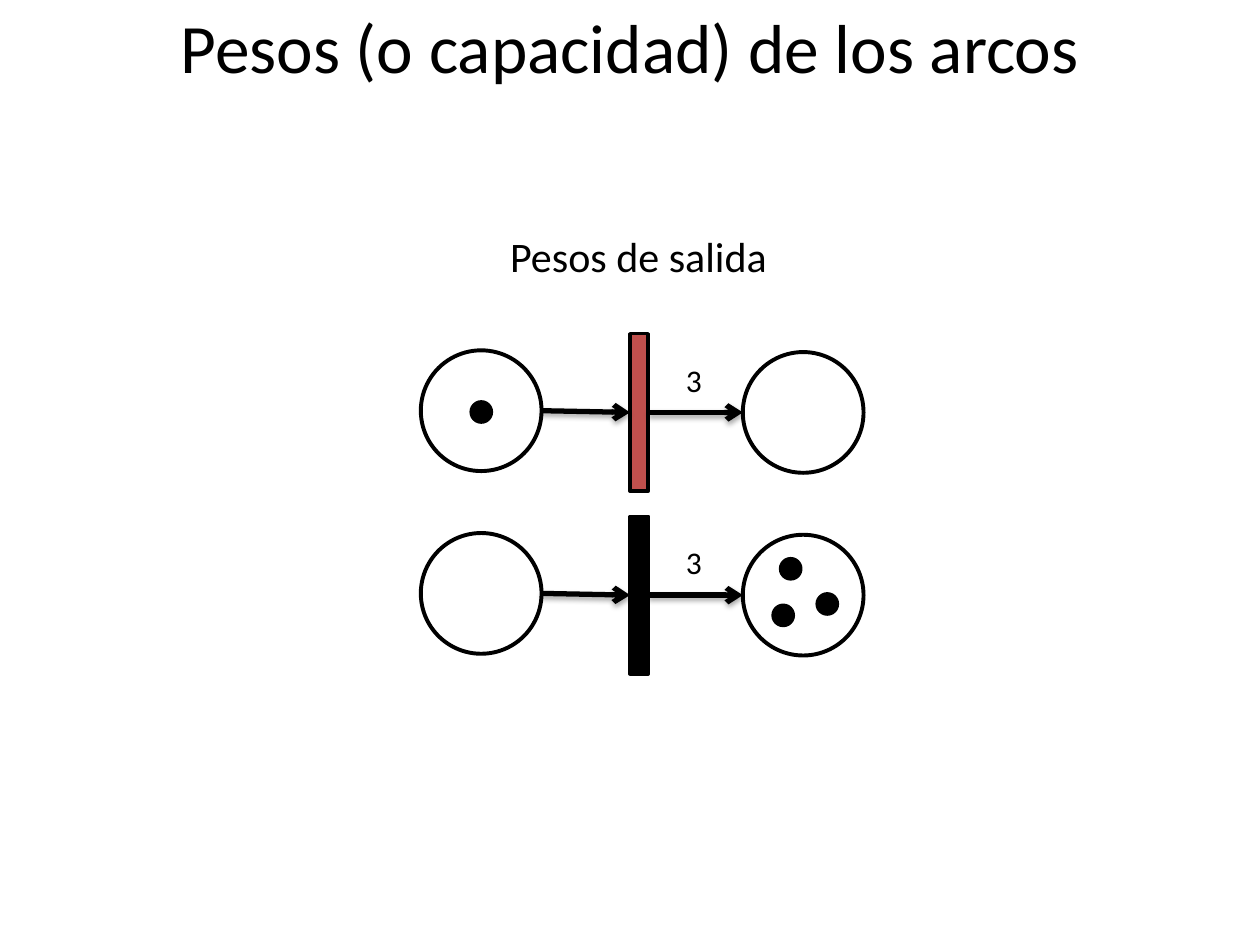
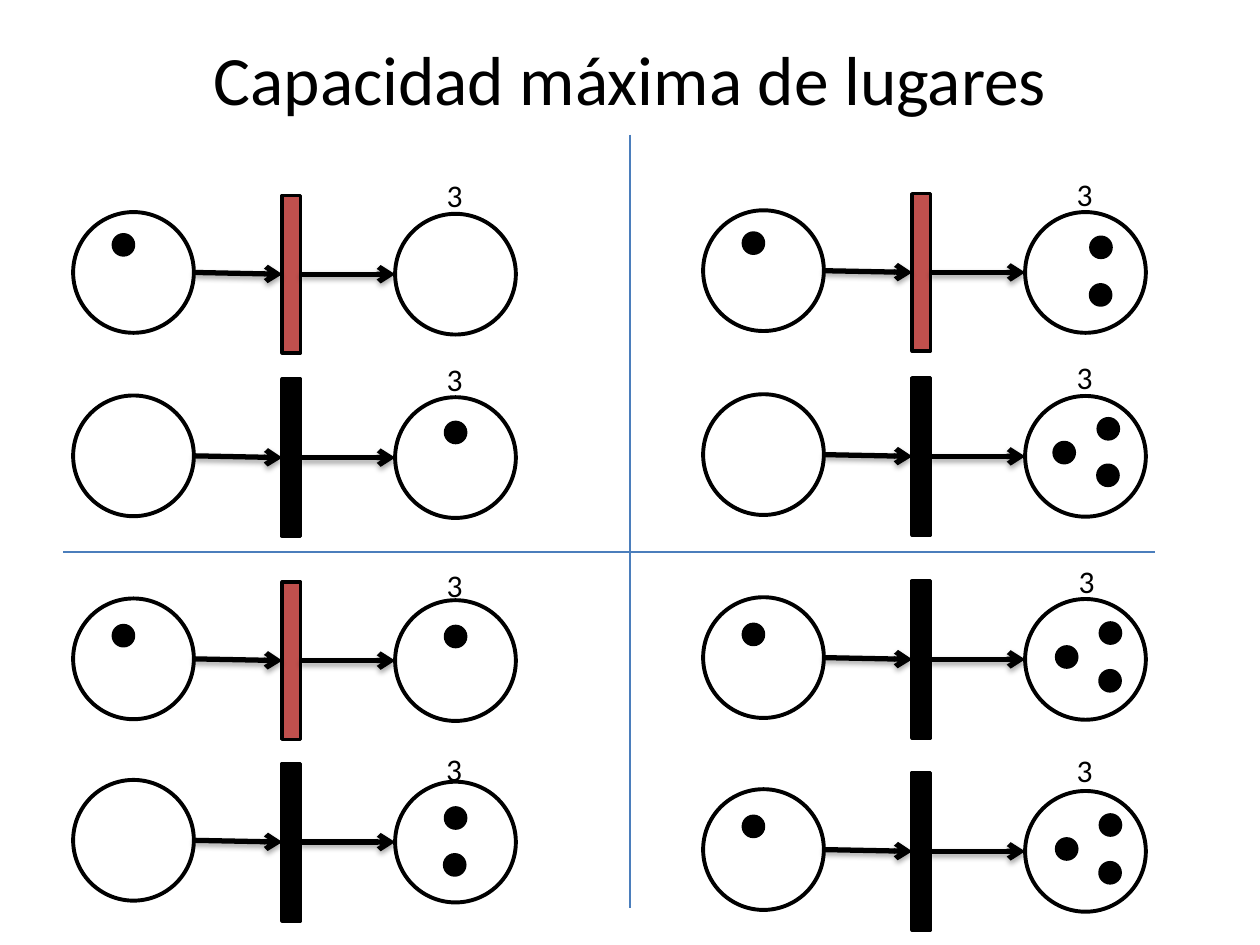
from dataclasses import dataclass
from lxml.etree import SubElement
from pptx import Presentation
from pptx.dml.color import RGBColor
from pptx.enum.shapes import MSO_CONNECTOR as Link, MSO_SHAPE as Shape
from pptx.enum.text import MSO_ANCHOR as Anchor, MSO_AUTO_SIZE as AutoSize, PP_ALIGN as Align
from pptx.oxml.ns import qn
from pptx.util import Pt

COLORS = {"ink": "000000", "paper": "FFFFFF", "enabled": "C0504D", "divider": "4B7EBC"}
FONT = "Calibri"
PLACE = 69
TOKEN = 11.5
BAR_W, BAR_H = 10.5, 90
BAR_DX = 119.5
OUT_DX, OUT_DY = 184, 1
LABEL_W, LABEL_H = 24, 29

Offset = tuple[float, float]


@dataclass
class Net:
    y: float
    bar: str
    label: Offset
    tokens_in: tuple[Offset, ...] = ()
    tokens_out: tuple[Offset, ...] = ()


ARC_LABEL = (-39.6, 1.4)
CENTER = ((28.8, 29.5),)
UPPER = ((23, 13),)
LOWER = ((23, 15.5),)
FULL = ((18, 27.4), (43, 13.7), (42.8, 41))

OUTPUT_X = 240.5
OUTPUT_NETS = (
    Net(200.2, "enabled", ARC_LABEL, CENTER),
    Net(304.6, "ink", ARC_LABEL, (), ((21.6, 13.7), (17.3, 40.3), (42.5, 33.8))),
)

CAPACITY_COLUMNS = {
    41.8: (
        Net(121.2, "enabled", (22.3, -25), UPPER),
        Net(226, "ink", (22.3, -25), (), ((28.8, 14.4),)),
        Net(342, "enabled", (22.3, -23), LOWER, ((28.8, 15),)),
        Net(445.7, "ink", (22, -21.6), (), ((28.8, 15), (28.3, 41.8))),
    ),
    401.8: (
        Net(120.2, "enabled", (22.3, -25), UPPER, ((37.6, 14.4), (37.4, 41.6))),
        Net(225.3, "ink", (22.3, -25), (), ((16.6, 26.6), (41.8, 13), (41.6, 39.6))),
        Net(341.3, "ink", (23.5, -24.5), LOWER, FULL),
        Net(451, "ink", (22.3, -26.6), LOWER, FULL),
    ),
}


def rgb(name: str) -> RGBColor:
    return RGBColor.from_string(COLORS[name])


def add_solid(s, kind, x: float, y: float, w: float, h: float, fill: str, line: float):
    sp = s.shapes.add_shape(kind, Pt(x), Pt(y), Pt(w), Pt(h))
    sp.shadow.inherit = False
    sp.fill.solid()
    sp.fill.fore_color.rgb = rgb(fill)
    sp.line.color.rgb = rgb("ink")
    sp.line.width = Pt(line)
    return sp


def add_line(s, x1: float, y1: float, x2: float, y2: float, color: str, width: float):
    cx = s.shapes.add_connector(Link.STRAIGHT, Pt(x1), Pt(y1), Pt(x2), Pt(y2))
    cx.line.color.rgb = rgb(color)
    cx.line.width = Pt(width)
    effects = SubElement(cx._element.spPr, qn("a:effectLst"))
    return cx, effects


def add_arc(s, x1: float, y1: float, x2: float, y2: float):
    cx, effects = add_line(s, x1, y1, x2, y2, "ink", 3)
    SubElement(cx.line._get_or_add_ln(), qn("a:tailEnd"), type="arrow")
    shadow = SubElement(effects, qn("a:outerShdw"), blurRad=str(Pt(3.1)),
                        dist=str(Pt(1.8)), dir="5400000", rotWithShape="0")
    color = SubElement(shadow, qn("a:srgbClr"), val=COLORS["ink"])
    SubElement(color, qn("a:alpha"), val="35000")
    return cx


def style(p, size: float, align) -> None:
    p.alignment = align
    p.font.name = FONT
    p.font.size = Pt(size)
    p.font.color.rgb = rgb("ink")


def add_text(s, text: str, x: float, y: float, w: float, h: float, size: float, align) -> None:
    tf = s.shapes.add_textbox(Pt(x), Pt(y), Pt(w), Pt(h)).text_frame
    tf.word_wrap = False
    tf.auto_size = AutoSize.SHAPE_TO_FIT_TEXT
    tf.text = text
    style(tf.paragraphs[0], size, align)


def add_place(s, x: float, y: float, tokens: tuple[Offset, ...]) -> None:
    add_solid(s, Shape.OVAL, x, y, PLACE, PLACE, "paper", 2.25)
    for dx, dy in tokens:
        add_solid(s, Shape.OVAL, x + dx, y + dy, TOKEN, TOKEN, "ink", 2)


def add_net(s, x: float, net: Net) -> None:
    out_x, out_y = x + OUT_DX, net.y + OUT_DY
    in_mid, out_mid = net.y + PLACE / 2, out_y + PLACE / 2
    bar_x = x + BAR_DX
    add_place(s, x, net.y, net.tokens_in)
    add_place(s, out_x, out_y, net.tokens_out)
    bar = add_solid(s, Shape.RECTANGLE, bar_x, out_mid - BAR_H / 2, BAR_W, BAR_H, net.bar, 2)
    add_arc(s, x + PLACE, in_mid, bar_x, out_mid).end_connect(bar, 1)
    add_arc(s, bar_x + BAR_W, out_mid, out_x, out_mid).begin_connect(bar, 3)
    dx, dy = net.label
    add_text(s, "3", out_x + dx, out_y + dy, LABEL_W, LABEL_H, 18, Align.LEFT)


def add_slide(prs, title: str, top: float, height: float):
    s = prs.slides.add_slide(prs.slide_layouts[5])
    sp = s.shapes.title
    sp.left, sp.top, sp.width, sp.height = Pt(36), Pt(top), Pt(648), Pt(height)
    tf = sp.text_frame
    tf.text = title
    tf.auto_size = AutoSize.NONE
    tf.vertical_anchor = Anchor.MIDDLE
    style(tf.paragraphs[0], 39.6, Align.CENTER)
    return s


def main() -> None:
    prs = Presentation()
    prs.slide_width, prs.slide_height = Pt(720), Pt(540)

    s = add_slide(prs, "Pesos (o capacidad) de los arcos", 10.8, 30.2)
    add_text(s, "Pesos de salida", 283.5, 128.2, 162.7, 36, 24, Align.CENTER)
    for net in OUTPUT_NETS:
        add_net(s, OUTPUT_X, net)

    s = add_slide(prs, "Capacidad máxima de lugares", 21.6, 45.4)
    for x, nets in CAPACITY_COLUMNS.items():
        for net in nets:
            add_net(s, x, net)
    add_line(s, 360, 77, 360, 519, "divider", 0.75)
    add_line(s, 36, 315.4, 660, 315.4, "divider", 0.75)

    prs.save("out.pptx")


if __name__ == "__main__":
    main()
